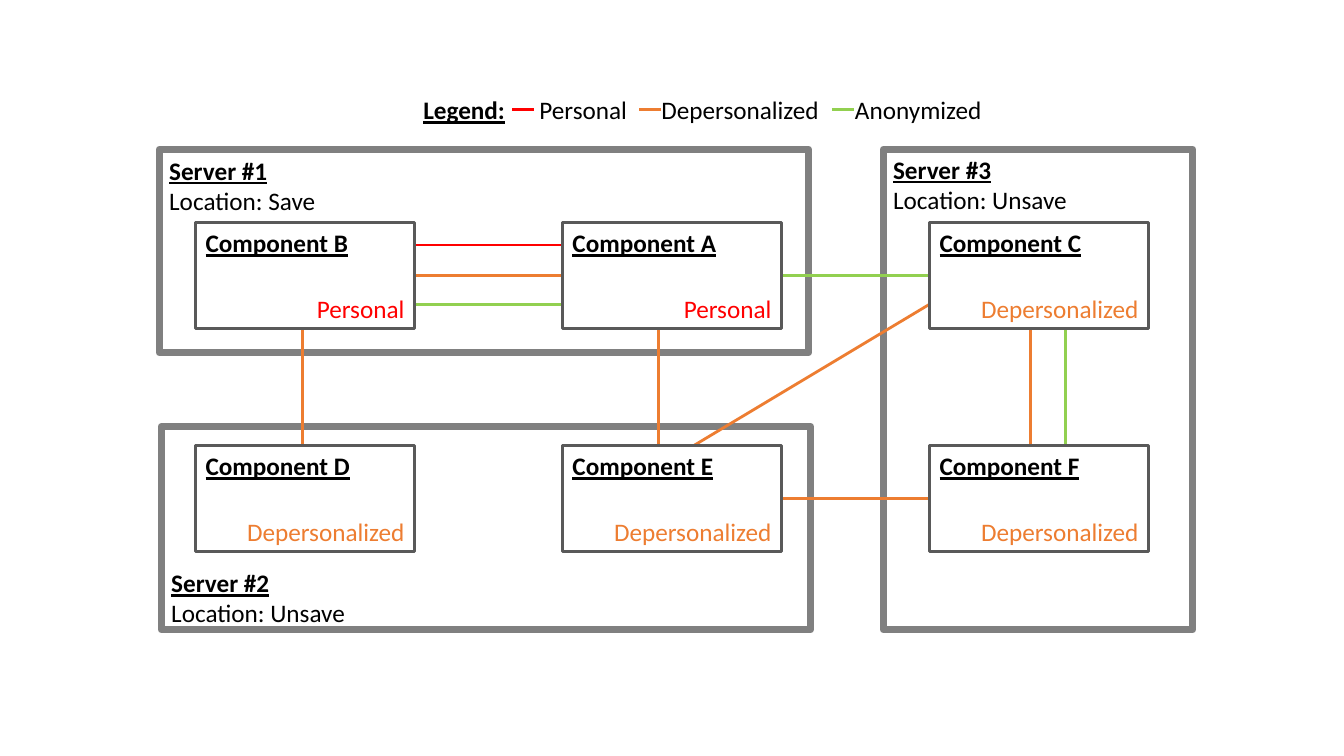
from lxml import etree
from pptx import Presentation
from pptx import util as u
from pptx.dml.color import RGBColor
from pptx.enum import shapes, text
from pptx.oxml.ns import qn

BLACK = RGBColor(0, 0, 0)
GRAY = RGBColor(0x80, 0x80, 0x80)
DARK = RGBColor(0x59, 0x59, 0x59)
RED = RGBColor(0xFF, 0, 0)
ORANGE = RGBColor(0xED, 0x7D, 0x31)
GREEN = RGBColor(0x92, 0xD0, 0x50)

LEFT, TOP = 1.94, 2.21
COL, ROW = 3.64, 2.21
WIDE, HIGH = 2.17, 1.05
LINE = 0.4

SERVERS = [
    ("Server #1", "Save", (1.58, 1.48, 6.44, 2.02), 1.49),
    ("Server #2", "Unsave", (1.6, 4.23, 6.44, 2.02), 5.58),
    ("Server #3", "Unsave", (8.76, 1.48, 3.07, 4.77), 1.48),
]
PARTS = [
    ("B", 0, 0, "Personal", RED),
    ("A", 1, 0, "Personal", RED),
    ("C", 2, 0, "Depersonalized", ORANGE),
    ("D", 0, 1, "Depersonalized", ORANGE),
    ("E", 1, 1, "Depersonalized", ORANGE),
    ("F", 2, 1, "Depersonalized", ORANGE),
]
LINKS = [
    ((1, 1, 0.6, 0), (2, 0, 0, 0.77), ORANGE),
    ((2, 1, 0.46, 0), (2, 0, 0.46, 1), ORANGE),
    ((2, 1, 0.62, 0), (2, 0, 0.62, 1), GREEN),
    ((0, 0, 1, 0.21), (1, 0, 0, 0.21), RED),
    ((0, 0, 1, 0.5), (1, 0, 0, 0.5), ORANGE),
    ((0, 0, 1, 0.77), (1, 0, 0, 0.77), GREEN),
    ((2, 0, 0, 0.5), (1, 0, 1, 0.5), GREEN),
    ((0, 1, 0.49, 0), (0, 0, 0.49, 1), ORANGE),
    ((1, 1, 0.44, 0), (1, 0, 0.44, 1), ORANGE),
    ((1, 1, 1, 0.5), (2, 1, 0, 0.5), ORANGE),
]
KEYS = [(5.08, RED), (6.34, ORANGE), (8.25, GREEN)]


def spot(col, row, across=0, down=0):
    """Return the point at a share of the component in a grid cell."""
    return LEFT + col * COL + across * WIDE, TOP + row * ROW + down * HIGH


def frame(slide, area, color, width):
    """Draw an unfilled rectangle."""
    box = slide.shapes.add_shape(shapes.MSO_SHAPE.RECTANGLE, *map(u.Inches, area))
    box.shadow.inherit = False
    box.fill.background()
    box.line.color.rgb = color
    box.line.width = u.Pt(width)


def link(slide, start, end, color):
    """Draw a straight coloured line between two points."""
    ends = map(u.Inches, start + end)
    line = slide.shapes.add_connector(shapes.MSO_CONNECTOR.STRAIGHT, *ends)
    line.line.color.rgb = color
    line.line.width = u.Pt(2)
    etree.SubElement(line._element.spPr, qn("a:effectLst"))


def label(slide, area, lines, color=BLACK, right=False):
    """Add text lines, each given as words and whether it is a heading."""
    body = slide.shapes.add_textbox(*map(u.Inches, area)).text_frame
    body.word_wrap = True
    for i, (words, head) in enumerate(lines):
        para = body.add_paragraph() if i else body.paragraphs[0]
        para.alignment = text.PP_ALIGN.RIGHT if right else text.PP_ALIGN.LEFT
        run = para.add_run()
        run.text = words
        run.font.name = "Calibri"
        run.font.size = u.Pt(18)
        run.font.color.rgb = color
        run.font.bold = run.font.underline = head
    return body


def server(slide, name, place, area, top):
    """Draw a server with its name and location."""
    frame(slide, area, GRAY, 5)
    lines = [(name, True), ("Location: " + place, False)]
    label(slide, (area[0], top, 2.46, 0.71), lines)


def part(slide, name, col, row, state, color):
    """Draw a component with its name and data state."""
    x, y = spot(col, row)
    frame(slide, (x, y, WIDE, HIGH), DARK, 2)
    label(slide, (x, y, WIDE, LINE), [("Component " + name, True)])
    label(slide, (x, y + 0.65, WIDE, LINE), [(state, False)], color, True)


def legend(slide):
    """Draw the legend with names set on tab stops."""
    y = 0.89
    label(slide, (4.1, y, 1.04, LINE), [("Legend:", True)])
    names = "Personal\tDepersonalized\tAnonymized"
    body = label(slide, (5.19, y, 4.79, LINE), [(names, False)])
    body.margin_left = u.Inches(0.16)
    tabs = etree.SubElement(body.paragraphs[0]._p.get_or_add_pPr(), qn("a:tabLst"))
    for stop in (1.21, 3.13):
        etree.SubElement(tabs, qn("a:tab"), pos=str(u.Inches(stop)), algn="l")
    for x, color in KEYS:
        link(slide, (x, y + LINE / 2), (x + 0.22, y + LINE / 2), color)


def main():
    """Build and save the slide."""
    deck = Presentation()
    deck.slide_width, deck.slide_height = u.Inches(13.33), u.Inches(7.5)
    slide = deck.slides.add_slide(deck.slide_layouts[6])
    for row in SERVERS:
        server(slide, *row)
    for start, end, color in LINKS:
        link(slide, spot(*start), spot(*end), color)
    for row in PARTS:
        part(slide, *row)
    legend(slide)
    deck.save("out.pptx")


if __name__ == "__main__":
    main()
